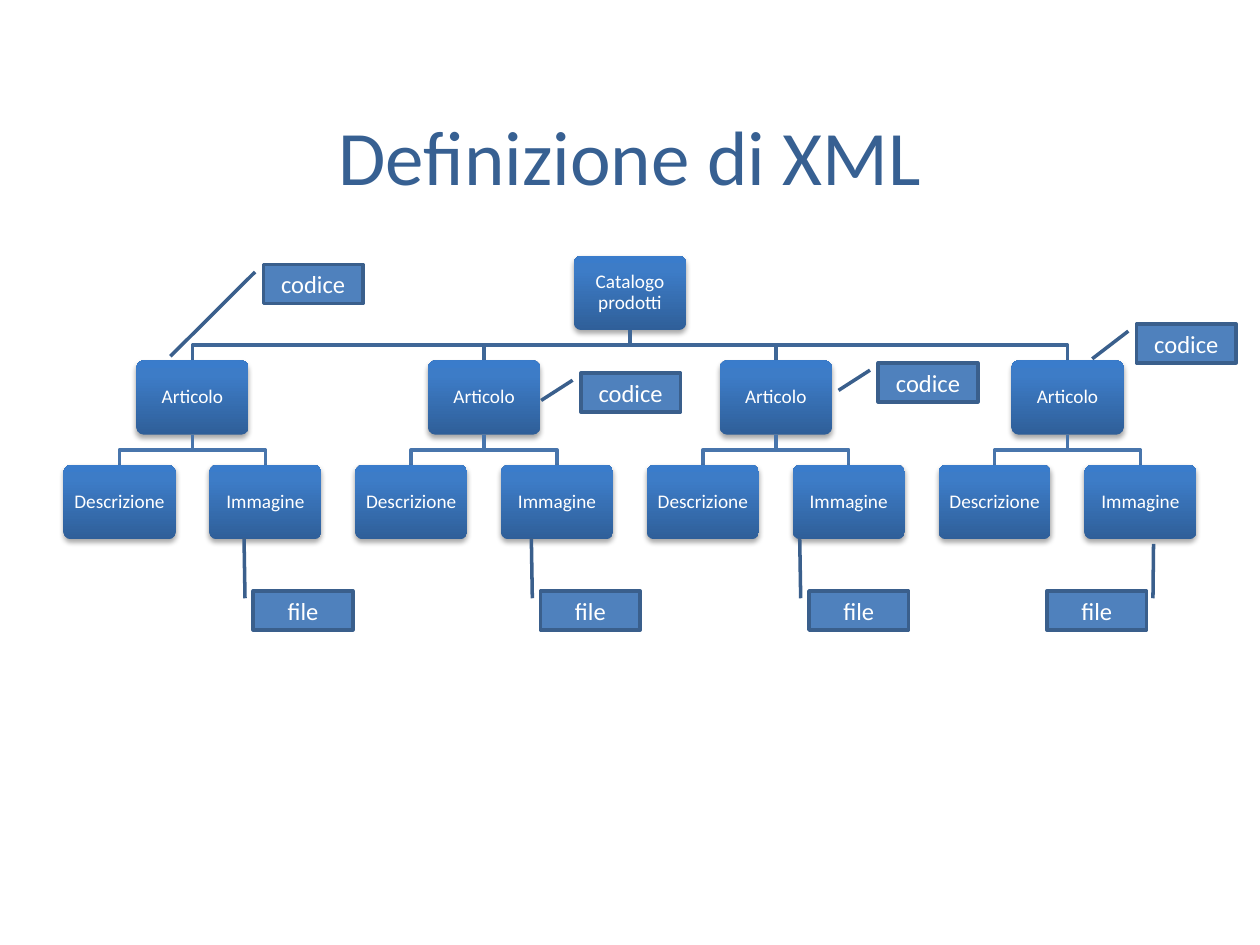
"""Build a slide with the XML tree of a product catalogue."""
from copy import deepcopy
from dataclasses import dataclass

from lxml.etree import SubElement
from pptx import Presentation
from pptx.dml.color import RGBColor as RGB
from pptx.enum.shapes import MSO_SHAPE as SHAPE
from pptx.enum.text import MSO_ANCHOR as ANCHOR, PP_ALIGN as ALIGN
from pptx.oxml.ns import qn
from pptx.util import Inches, Pt


@dataclass(frozen=True)
class Theme:
    font: str = "Calibri"
    title_size: int = 44
    node_size: int = 11
    callout_size: int = 14
    line_width: int = 2
    title: str = "376092"
    text: str = "FFFFFF"
    gradient: tuple = ((0, "2F5F99"), (0.8, "3D7CC7"), (1, "3A7CCB"))
    root_branch: str = "3F6797"
    item_branch: str = "4875AC"
    callout: str = "4F81BD"
    callout_line: str = "3A5F8C"


THEME = Theme()
NODE_W, NODE_H = 0.89, 0.59
ROOT_X, ROOT_TOP = 5, 2.03
LEVEL_STEP = 0.83
ITEM_STEP = 2.315
ITEM_COUNT = 4
CALLOUT_W, CALLOUT_H = 0.79, 0.31
FILE_TOP = 4.69
SIDE_POINTER = (0.188, -0.083, 0.704, -0.399)
FILE_POINTER = (0.188, -0.083, -1.361, -0.093)
CALLOUTS = (
    ("codice", 2.09, 2.1, (0.188, -0.083, 2.349, -0.934)),
    ("codice", 4.61, 2.96, SIDE_POINTER),
    ("codice", 6.97, 2.88, SIDE_POINTER),
    ("codice", 9.02, 2.57, (0.188, -0.083, 0.896, -0.445)),
    ("file", 2.01, FILE_TOP, FILE_POINTER),
    ("file", 4.29, FILE_TOP, FILE_POINTER),
    ("file", 6.42, FILE_TOP, FILE_POINTER),
    ("file", 8.31, FILE_TOP, (0.188, 1.064, -1.208, 1.07)),
)


def write_text(shape, text, size, color):
    """Write one centred paragraph and return it."""
    frame = shape.text_frame
    frame.text = text
    frame.word_wrap = True
    frame.vertical_anchor = ANCHOR.MIDDLE
    paragraph = frame.paragraphs[0]
    paragraph.alignment = ALIGN.CENTER
    paragraph.font.name = THEME.font
    paragraph.font.size = Pt(size)
    paragraph.font.color.rgb = RGB.from_string(color)
    return paragraph


def set_line(shape, color):
    """Give a shape its outline."""
    shape.line.color.rgb = RGB.from_string(color)
    shape.line.width = Pt(THEME.line_width)


def fill_gradient(shape):
    """Fill a node with the three-stop gradient, darkest at the bottom."""
    shape.fill.gradient()
    shape.fill.gradient_angle = 90
    stop_list = shape.element.spPr.find(qn("a:gradFill")).find(qn("a:gsLst"))
    stop_list.append(deepcopy(stop_list[0]))
    for stop, (position, color) in zip(shape.fill.gradient_stops, THEME.gradient):
        stop.position = position
        stop.color.rgb = RGB.from_string(color)


def add_shadow(shape):
    """Add a soft shadow straight below a node."""
    shape.shadow.inherit = False
    effects = shape.element.spPr.find(qn("a:effectLst"))
    shadow = SubElement(effects, qn("a:outerShdw"), blurRad=str(Pt(3.1)),
                        dist=str(Pt(1.8)), dir="5400000", rotWithShape="0")
    color = SubElement(shadow, qn("a:srgbClr"), val="000000")
    SubElement(color, qn("a:alpha"), val="35000")


def add_node(slide, label, center, top):
    """Add a rounded tree node centred on a column."""
    node = slide.shapes.add_shape(
        SHAPE.ROUNDED_RECTANGLE, Inches(center - NODE_W / 2), Inches(top),
        Inches(NODE_W), Inches(NODE_H))
    node.adjustments[0] = 0.1
    fill_gradient(node)
    node.line.fill.background()
    add_shadow(node)
    frame = node.text_frame
    frame.margin_left = frame.margin_right = Inches(0.05)
    frame.margin_top = frame.margin_bottom = Inches(0.05)
    write_text(node, label, THEME.node_size, THEME.text).line_spacing = 0.9


def add_branch(slide, parent_x, child_x, parent_top, color):
    """Draw the elbow from a parent node down to its child."""
    start, end = parent_top + NODE_H, parent_top + LEVEL_STEP
    middle = (start + end) / 2
    builder = slide.shapes.build_freeform(Inches(parent_x), Inches(start))
    bends = ((parent_x, middle), (child_x, middle), (child_x, end))
    builder.add_line_segments([(Inches(x), Inches(y)) for x, y in bends], close=False)
    branch = builder.convert_to_shape()
    branch.fill.background()
    set_line(branch, color)
    branch.shadow.inherit = False


def add_callout(slide, label, left, top, pointer):
    """Add a boxed label with its pointer line."""
    callout = slide.shapes.add_shape(
        SHAPE.LINE_CALLOUT_1, Inches(left), Inches(top),
        Inches(CALLOUT_W), Inches(CALLOUT_H))
    for index, value in enumerate(pointer):
        callout.adjustments[index] = value
    callout.fill.solid()
    callout.fill.fore_color.rgb = RGB.from_string(THEME.callout)
    set_line(callout, THEME.callout_line)
    callout.shadow.inherit = False
    write_text(callout, label, THEME.callout_size, THEME.text)


def add_title(slide, text):
    """Place and format the slide title."""
    title = slide.shapes.title
    title.left, title.top = Inches(0.5), Inches(0.6)
    title.width, title.height = Inches(9), Inches(1.25)
    write_text(title, text, THEME.title_size, THEME.title)


def add_tree(slide):
    """Add the catalogue, its items and the parts of each item."""
    item_top = ROOT_TOP + LEVEL_STEP
    part_top = item_top + LEVEL_STEP
    add_node(slide, "Catalogo prodotti", ROOT_X, ROOT_TOP)
    for index in range(ITEM_COUNT):
        item_x = ROOT_X + (index - (ITEM_COUNT - 1) / 2) * ITEM_STEP
        add_branch(slide, ROOT_X, item_x, ROOT_TOP, THEME.root_branch)
        add_node(slide, "Articolo", item_x, item_top)
        for label, side in (("Descrizione", -1), ("Immagine", 1)):
            part_x = item_x + side * ITEM_STEP / 4
            add_branch(slide, item_x, part_x, item_top, THEME.item_branch)
            add_node(slide, label, part_x, part_top)


def main():
    """Build and save the slide."""
    deck = Presentation()
    deck.slide_width, deck.slide_height = Inches(10), Inches(7.5)
    slide = deck.slides.add_slide(deck.slide_layouts[5])
    add_title(slide, "Definizione di XML")
    add_tree(slide)
    for callout in CALLOUTS:
        add_callout(slide, *callout)
    deck.save("out.pptx")


if __name__ == "__main__":
    main()
